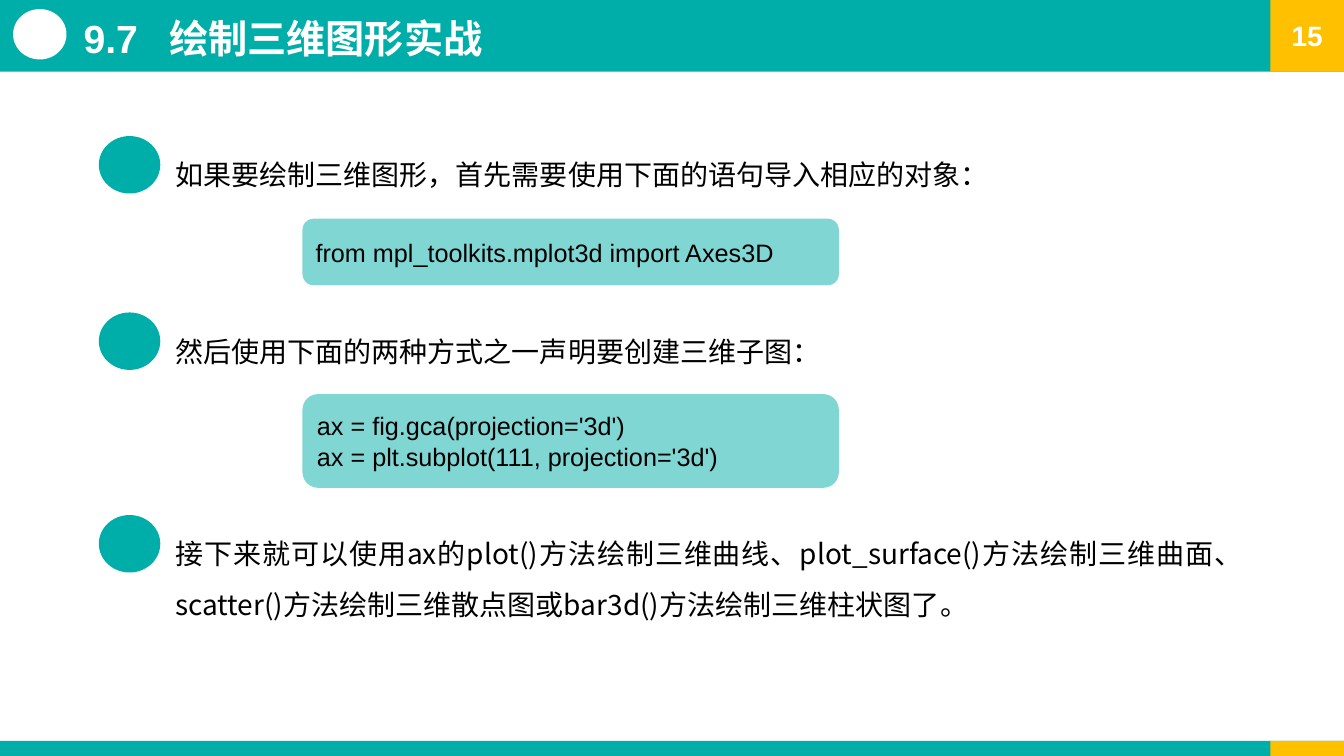
from dataclasses import dataclass

from lxml import etree
from pptx import Presentation
from pptx.dml.color import RGBColor
from pptx.enum.shapes import MSO_SHAPE
from pptx.enum.text import MSO_ANCHOR, MSO_AUTO_SIZE, PP_ALIGN
from pptx.oxml.ns import qn
from pptx.util import Pt

RECTANGLE = MSO_SHAPE.RECTANGLE
ROUNDED = MSO_SHAPE.ROUNDED_RECTANGLE
OVAL = MSO_SHAPE.OVAL
MIDDLE = MSO_ANCHOR.MIDDLE
GROW = MSO_AUTO_SIZE.SHAPE_TO_FIT_TEXT
LEFT, CENTER, JUSTIFY = PP_ALIGN.LEFT, PP_ALIGN.CENTER, PP_ALIGN.JUSTIFY

EMU_PER_PX = 9144
SLIDE_WIDTH, SLIDE_HEIGHT = 1333, 750
HEADER_HEIGHT, FOOTER_HEIGHT, ACCENT_WIDTH = 71, 15, 73
STEP_LEFT, STEP_WIDTH = 98, 1144
CODE_LEFT, CODE_WIDTH = 300, 532
TITLE_TAB = 85

STEPS = [
    (135, 55, "如果要绘制三维图形，首先需要使用下面的语句导入相应的对象："),
    (310, 55, "然后使用下面的两种方式之一声明要创建三维子图："),
    (511, 105, "接下来就可以使用ax的plot()方法绘制三维曲线、plot_surface()方法绘制三维曲面、"
               "scatter()方法绘制三维散点图或bar3d()方法绘制三维柱状图了。"),
]
CODE_BLOCKS = [
    (217, 66, ["from mpl_toolkits.mplot3d import Axes3D"]),
    (391, 93, ["ax = fig.gca(projection='3d')",
               "ax = plt.subplot(111, projection='3d')"]),
]


@dataclass(frozen=True)
class Theme:
    """Colours, fonts and type sizes of the slide."""
    teal: RGBColor = RGBColor(0x00, 0xAE, 0xA9)
    amber: RGBColor = RGBColor(0xFF, 0xC0, 0x00)
    white: RGBColor = RGBColor(0xFF, 0xFF, 0xFF)
    black: RGBColor = RGBColor(0x00, 0x00, 0x00)
    latin: str = "Arial"
    chinese: str = "Noto Sans CJK SC"
    title_size: int = 28
    body_size: int = 20
    code_size: int = 18
    code_opacity: int = 50


THEME = Theme()


def px(length):
    """Turn pixels into EMU."""
    return length * EMU_PER_PX


def add_block(slide, kind, box, color, opacity=100):
    """Add a plain filled shape without outline or shadow."""
    shape = slide.shapes.add_shape(kind, *map(px, box))
    shape.shadow.inherit = False
    shape.fill.solid()
    shape.fill.fore_color.rgb = color
    shape.line.fill.background()
    if opacity < 100:
        fill = shape.fill._xPr.find(qn("a:solidFill"))
        etree.SubElement(fill[0], qn("a:alpha"), val=str(opacity * 1000))
    return shape


def add_text_box(slide, box):
    """Add a wrapping text box that grows with its text."""
    frame = slide.shapes.add_textbox(*map(px, box)).text_frame
    frame.word_wrap = True
    frame.auto_size = GROW
    return frame


def style_paragraph(paragraph, size, color, font, bold=False, align=LEFT):
    """Set alignment and the Latin and East Asian fonts of a paragraph."""
    paragraph.alignment = align
    paragraph.font.size = Pt(size)
    paragraph.font.bold = bold
    paragraph.font.color.rgb = color
    paragraph.font.name = font
    defaults = paragraph._p.pPr.find(qn("a:defRPr"))
    etree.SubElement(defaults, qn("a:ea"), typeface=THEME.chinese)


def add_tab_stop(paragraph, position):
    """Give a styled paragraph one left tab stop."""
    stops = etree.Element(qn("a:tabLst"))
    etree.SubElement(stops, qn("a:tab"), pos=str(px(position)), algn="l")
    paragraph._p.pPr.find(qn("a:defRPr")).addprevious(stops)


def add_band(slide, box):
    """Add a teal band with an amber right end and return that end."""
    left, top, width, height = box
    add_block(slide, RECTANGLE, box, THEME.teal)
    accent_box = (left + width - ACCENT_WIDTH, top, ACCENT_WIDTH, height)
    return add_block(slide, RECTANGLE, accent_box, THEME.amber)


def add_header(slide, box, title, number):
    """Add the title band with its marker and slide number."""
    left, top = box[:2]
    number_frame = add_band(slide, box).text_frame
    number_frame.vertical_anchor = MIDDLE
    number_paragraph = number_frame.paragraphs[0]
    number_paragraph.text = number
    style_paragraph(number_paragraph, THEME.body_size, THEME.white, THEME.latin, True, CENTER)
    add_block(slide, OVAL, (left + 13, top + 9, 53, 50), THEME.white)
    title_paragraph = add_text_box(slide, (left + 73, top + 9, 768, 57)).paragraphs[0]
    title_paragraph.text = title
    style_paragraph(title_paragraph, THEME.title_size, THEME.white, THEME.latin, True)
    add_tab_stop(title_paragraph, TITLE_TAB)


def add_step(slide, box, text):
    """Add a marker and its explanation."""
    left, top, width, height = box
    add_block(slide, OVAL, (left, top, 61, 57), THEME.teal)
    paragraph = add_text_box(slide, (left + 66, top, width - 66, height)).paragraphs[0]
    paragraph.text = text
    paragraph.line_spacing = 1.5
    paragraph.space_after = Pt(6)
    style_paragraph(paragraph, THEME.body_size, THEME.black, THEME.chinese, align=JUSTIFY)


def add_code(slide, box, lines):
    """Add a rounded panel with one paragraph per line of code."""
    frame = add_block(slide, ROUNDED, box, THEME.teal, THEME.code_opacity).text_frame
    frame.vertical_anchor = MIDDLE
    frame.text = "\n".join(lines)
    for paragraph in frame.paragraphs:
        style_paragraph(paragraph, THEME.code_size, THEME.black, THEME.latin)


def main():
    """Build and save the slide."""
    presentation = Presentation()
    presentation.slide_width = px(SLIDE_WIDTH)
    presentation.slide_height = px(SLIDE_HEIGHT)
    slide = presentation.slides.add_slide(presentation.slide_layouts[6])
    add_band(slide, (0, SLIDE_HEIGHT - FOOTER_HEIGHT, SLIDE_WIDTH, FOOTER_HEIGHT))
    add_header(slide, (0, 0, SLIDE_WIDTH, HEADER_HEIGHT), "9.7\t绘制三维图形实战", "15")
    for top, height, text in STEPS:
        add_step(slide, (STEP_LEFT, top, STEP_WIDTH, height), text)
    for top, height, lines in CODE_BLOCKS:
        add_code(slide, (CODE_LEFT, top, CODE_WIDTH, height), lines)
    presentation.save("out.pptx")


if __name__ == "__main__":
    main()
